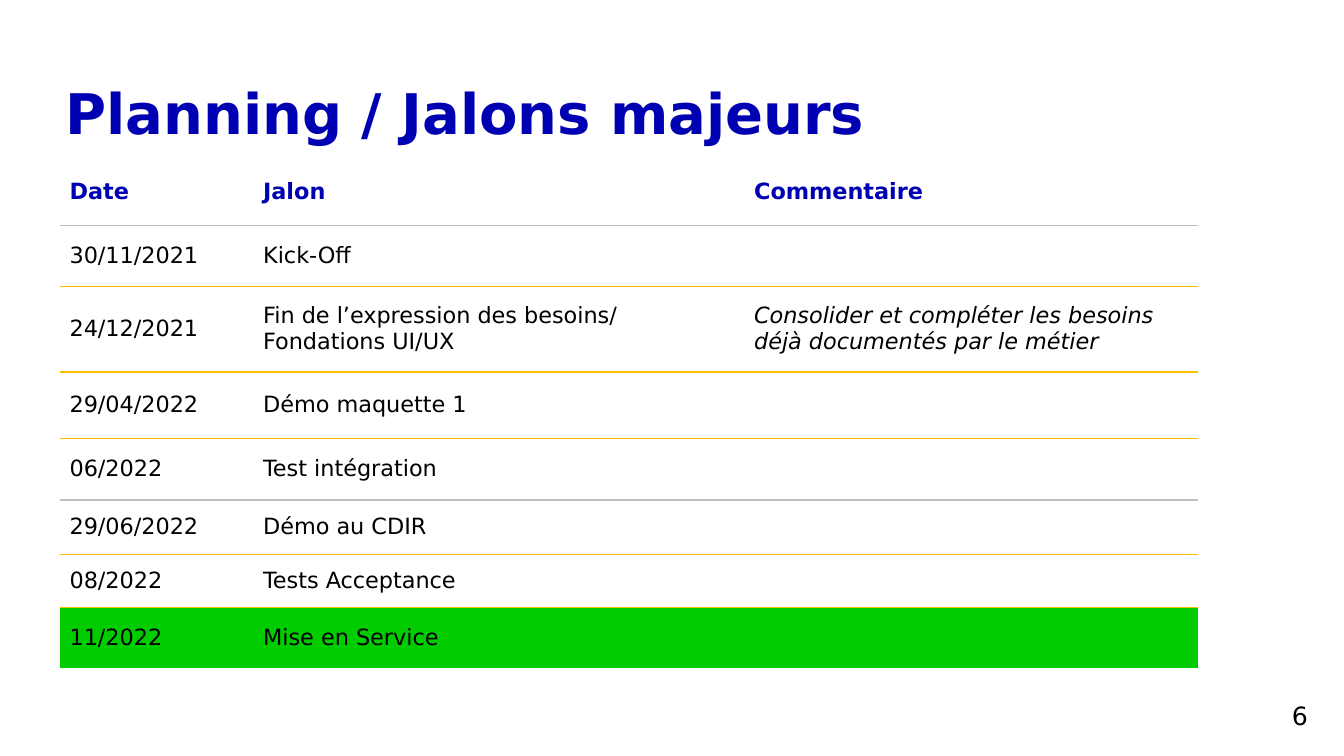
from lxml import etree
from pptx import Presentation
from pptx.dml.color import RGBColor
from pptx.enum.text import MSO_ANCHOR, PP_ALIGN
from pptx.oxml.ns import qn
from pptx.util import Inches, Pt

TOP, MIDDLE = MSO_ANCHOR.TOP, MSO_ANCHOR.MIDDLE
LEFT, RIGHT = PP_ALIGN.LEFT, PP_ALIGN.RIGHT

FONT = "DejaVu Sans"
COLORS = {"heading": "0000B3", "text": "000000", "rule": "FBBD00",
          "soft_rule": "BFBFBF", "go_live": "00CC00"}
PLAIN_TABLE_STYLE = "{2D5ABB26-0587-4C30-8999-92F81FD0307C}"

COLUMN_WIDTHS = [1.92, 4.87, 4.5]
HEADERS = ("Date", "Jalon", "Commentaire")
# Row height, rule below (colour, points), date, milestone, comment
MILESTONES = [
    (0.6, ("rule", 1), "30/11/2021", "Kick-Off", ""),
    (0.85, ("rule", 1.5), "24/12/2021",
     "Fin de l’expression des besoins/ Fondations UI/UX",
     "Consolider et compléter les besoins déjà documentés par le métier"),
    (0.66, ("rule", 1), "29/04/2022", "Démo maquette 1", ""),
    (0.61, ("soft_rule", 1), "06/2022", "Test intégration", ""),
    (0.54, ("rule", 1), "29/06/2022", "Démo au CDIR", ""),
    (0.53, None, "08/2022", "Tests Acceptance", ""),
    (0.6, None, "11/2022", "Mise en Service", ""),
]
ROWS = [(0.52, ("soft_rule", 1), *HEADERS)] + MILESTONES


def write(text_frame, text, size, color, alignment=LEFT, **font_format):
    """Put one formatted run in the first paragraph."""
    paragraph = text_frame.paragraphs[0]
    paragraph.alignment = alignment
    run = paragraph.add_run()
    run.text = text
    values = {"name": FONT, "size": Pt(size), **font_format}
    for name, value in values.items():
        setattr(run.font, name, value)
    run.font.color.rgb = RGBColor.from_string(COLORS[color])
    return paragraph


def add_text_box(slide, box, margins):
    """Add a wrapping text box with margins given as left, top, right, bottom."""
    text_frame = slide.shapes.add_textbox(*map(Inches, box)).text_frame
    text_frame.word_wrap = True
    text_frame.vertical_anchor = TOP
    for side, margin in zip(("left", "top", "right", "bottom"), margins):
        setattr(text_frame, f"margin_{side}", Inches(margin))
    return text_frame


def add_title(slide, box):
    text_frame = add_text_box(slide, box, (0.06, 0.09, 0.06, 0.05))
    paragraph = write(text_frame, "Planning / Jalons majeurs", 40, "heading", bold=True)
    paragraph.line_spacing = 0.9


def add_page_number(slide, box):
    text_frame = add_text_box(slide, box, (0.1, 0.05, 0.1, 0.05))
    write(text_frame, "6", 18, "text", RIGHT)


def set_border(cell, side, color, points):
    """Draw a solid rule on one side (lnT or lnB) of a cell."""
    properties = cell._tc.get_or_add_tcPr()
    line = etree.Element(qn(f"a:{side}"), w=str(Pt(points)))
    fill = etree.SubElement(line, qn("a:solidFill"))
    etree.SubElement(fill, qn("a:srgbClr"), val=COLORS[color])
    properties.insert(0, line)


def fill_cell(cell, text, is_header, is_go_live, is_comment):
    cell.vertical_anchor = TOP if is_header else MIDDLE
    if is_go_live:
        cell.fill.solid()
        cell.fill.fore_color.rgb = RGBColor.from_string(COLORS["go_live"])
    else:
        cell.fill.background()
    if text:
        write(cell.text_frame, text, 16, "heading" if is_header else "text",
              bold=is_header, italic=is_comment and not is_header)


def add_milestone_table(slide, box):
    frame = slide.shapes.add_table(len(ROWS), len(HEADERS), *map(Inches, box))
    table = frame.table
    table.horz_banding = False
    table._tbl.tblPr.find(qn("a:tableStyleId")).text = PLAIN_TABLE_STYLE

    for column, width in zip(table.columns, COLUMN_WIDTHS):
        column.width = Inches(width)

    last_row = len(ROWS) - 1
    for row_index, (height, rule, *texts) in enumerate(ROWS):
        table.rows[row_index].height = Inches(height)
        for column_index, text in enumerate(texts):
            cell = table.cell(row_index, column_index)
            fill_cell(cell, text, row_index == 0, row_index == last_row,
                      column_index == 2)
            # A rule belongs to both cells that share the edge
            if rule:
                set_border(cell, "lnB", *rule)
                set_border(table.cell(row_index + 1, column_index), "lnT", *rule)


def order_borders(slide):
    """Keep top borders ahead of bottom borders, as the file format asks."""
    for properties in slide.shapes._spTree.iter(qn("a:tcPr")):
        top = properties.find(qn("a:lnT"))
        if top is not None:
            properties.insert(0, top)


def build_planning_slide(presentation):
    slide = presentation.slides.add_slide(presentation.slide_layouts[6])
    add_title(slide, (0.59, 0.76, 11.03, 0.85))
    add_milestone_table(slide, (0.59, 1.72, 11.29, 4.91))
    order_borders(slide)
    add_page_number(slide, (12.13, 6.9, 0.94, 0.28))


def main():
    presentation = Presentation()
    presentation.slide_width = Inches(13.33)
    presentation.slide_height = Inches(7.5)
    build_planning_slide(presentation)
    presentation.save("out.pptx")


if __name__ == "__main__":
    main()
